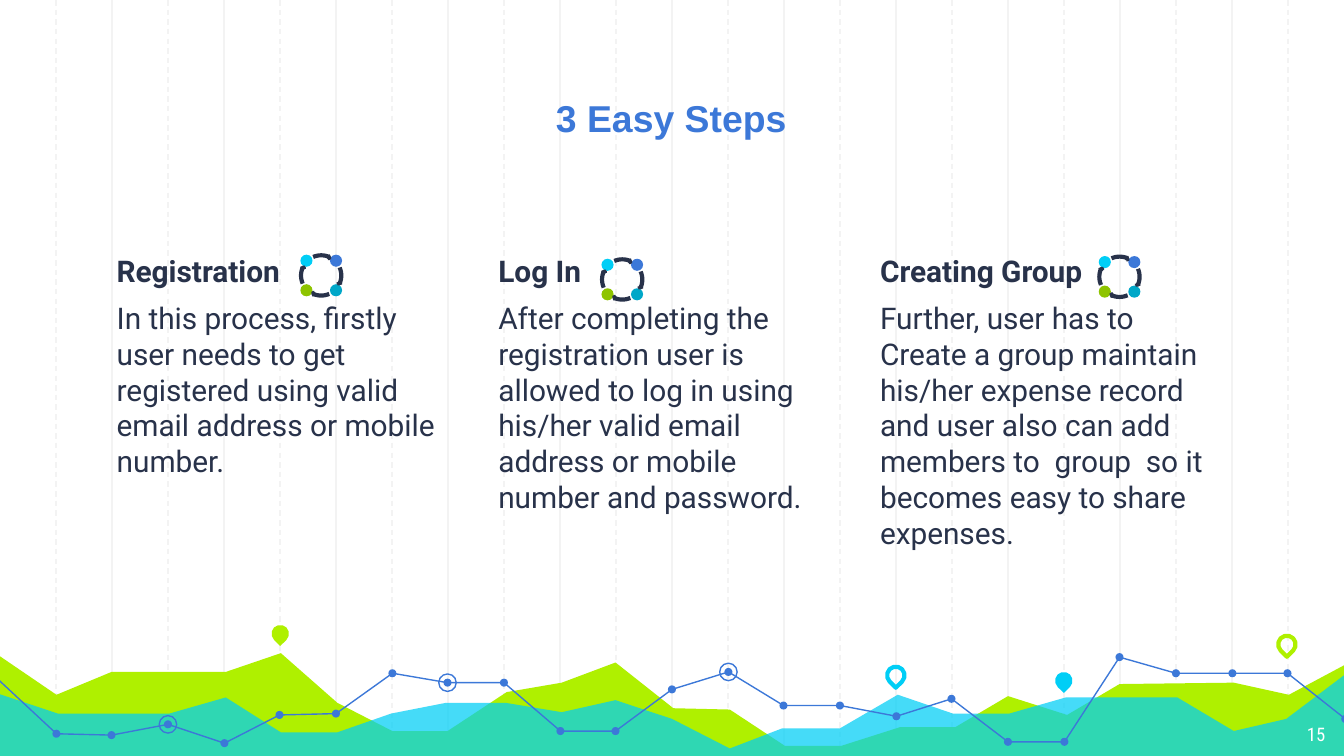
"""Build the "3 Easy Steps" slide over its grid and mountain chart backdrop."""
from dataclasses import dataclass
from math import asin, cos, pi, sin

from lxml import etree
from pptx import Presentation
from pptx import util as u
from pptx.dml.color import RGBColor
from pptx.enum import dml, shapes, text
from pptx.oxml import ns

PX = 9144
WIDE = 1000
HIGH = WIDE * 9 / 16
BASE = 565
KIND = shapes.MSO_SHAPE
ALIGN = text.PP_ALIGN


@dataclass(frozen=True)
class Theme:
    grid: str = "F3F3F3"
    lime: str = "AFF000"
    cyan: str = "00CEF6"
    blue: str = "3C78D8"
    teal: str = "00A7C8"
    leaf: str = "8EC400"
    ink: str = "28324A"
    white: str = "FFFFFF"
    head: str = "Arial"
    body: str = "Roboto"
    slim: str = "Roboto Condensed"
    big: int = 20
    mid: int = 16
    small: int = 10
    thin: float = 0.75
    thick: float = 2.25


T = Theme()

LIME = [(-2, 487), (42, 517), (83, 500), (168, 500), (209, 486), (251, 523),
        (292, 544), (333, 544), (377, 515), (418, 508), (458, 493), (501, 527),
        (543, 528), (584, 555), (626, 555), (670, 541), (711, 541), (750, 518),
        (794, 532), (833, 509), (918, 508), (959, 517), (1002, 494),
        (1001, 564), (-3, 564)]
CYAN = [(-2, 516), (43, 531), (126, 531), (168, 519), (209, 545), (251, 545),
        (291, 531), (332, 523), (376, 523), (418, 530), (458, 521), (500, 535),
        (543, 557), (582, 542), (625, 542), (668, 517), (709, 531), (751, 531),
        (793, 519), (876, 519), (918, 544), (957, 535), (1002, 501),
        (1002, BASE), (-3, BASE)]
TREND = [(-1, 506), (42, 546), (83, 547), (125, 539), (167, 553), (208, 532),
         (250, 531), (292, 501), (333, 508), (375, 508), (417, 544), (458, 544),
         (500, 513), (542, 500), (583, 525), (625, 525), (667, 533), (708, 520),
         (750, 552), (792, 552), (833, 489), (875, 501), (917, 501), (958, 501),
         (1001, 535)]
RINGS = (3, 8, 13)
PINS = [(202, 465, T.lime, True), (660, 496, T.cyan, False),
        (785, 500, T.cyan, True), (951, 473, T.lime, False)]
STEPS = [
    ("Registration",
     "In this process, firstly user needs to get registered using valid "
     "email address or mobile number.", (239, 205)),
    ("Log In",
     "After completing the registration user is allowed to log in using  "
     "his/her valid email address or mobile number and password.", (463, 208)),
    ("Creating Group",
     "Further, user has to Create a group maintain his/her expense record and "
     "user also can add members to  group  so it becomes easy to share "
     "expenses.", (833, 206)),
]


def px(*vals):
    return [u.Emu(round(v * PX)) for v in vals]


def put(obj, **vals):
    for key, val in vals.items():
        setattr(obj, key, val)


def rgb(code):
    return RGBColor.from_string(code)


def paint(shape, fill=None, line=None, width=T.thin):
    shape.shadow.inherit = False
    if fill:
        shape.fill.solid()
        shape.fill.fore_color.rgb = rgb(fill)
    else:
        shape.fill.background()
    if line:
        shape.line.color.rgb = rgb(line)
        shape.line.width = u.Pt(width)
    else:
        shape.line.fill.background()
    return shape


def fade(shape, part):
    tint = shape._element.spPr.find(".//" + ns.qn("a:srgbClr"))
    etree.SubElement(tint, ns.qn("a:alpha"), val=str(part * 1000))


def form(slide, kind, box, **look):
    return paint(slide.shapes.add_shape(kind, *px(*box)), **look)


def trace(slide, dots, close=False, **look):
    dots = [px(*dot) for dot in dots]
    pen = slide.shapes.build_freeform(*dots[0])
    pen.add_line_segments(dots[1:], close=close)
    return paint(pen.convert_to_shape(), **look)


def rule(slide, x, dash):
    line = slide.shapes.add_connector(shapes.MSO_CONNECTOR.STRAIGHT,
                                      *px(x, 0, x, BASE))
    line.line.color.rgb = rgb(T.grid)
    line.line.width = u.Pt(T.thin)
    if dash:
        line.line.dash_style = dml.MSO_LINE.DASH
    etree.SubElement(line._element.spPr, ns.qn("a:effectLst"))


def write(shape, box, rows, font, size, color, align=ALIGN.LEFT,
          anchor=text.MSO_ANCHOR.TOP, gap=0):
    put(shape, **dict(zip(("left", "top", "width", "height"), px(*box))))
    frame = shape.text_frame
    inset = px(10)[0]
    put(frame, word_wrap=True, auto_size=text.MSO_AUTO_SIZE.NONE,
        vertical_anchor=anchor, margin_left=inset, margin_right=inset,
        margin_top=inset, margin_bottom=inset)
    for i, (words, bold) in enumerate(rows):
        para = frame.add_paragraph() if i else frame.paragraphs[0]
        put(para, alignment=align, space_before=u.Pt(gap))
        run = para.add_run()
        run.text = words
        put(run.font, name=font, size=u.Pt(size), bold=bold)
        run.font.color.rgb = rgb(color)


def label(slide, *args, **look):
    write(slide.shapes.add_textbox(0, 0, 0, 0), *args, **look)


def pin(slide, x, y, color, solid):
    look = {"fill": color} if solid else {"line": color, "width": T.thick}
    form(slide, KIND.TEAR, (x, y, 13, 13), **look).rotation = 135


def disc(slide, spot, size, **look):
    x, y = spot
    form(slide, KIND.OVAL, (x - size / 2, y - size / 2, size, size), **look)


def wheel(slide, x, y):
    """Draw four dots joined by four curved arrows around a centre."""
    for dx, dy, color in [(11, -11, T.blue), (11, 11, T.teal),
                          (-11, -11, T.cyan), (-11, 11, T.leaf)]:
        disc(slide, (x + dx, y + dy), 9, fill=color)
    reach, steps = 15, 8
    half = asin(6 / reach)
    turns = [half * (2 * i / steps - 1) for i in range(steps + 1)]
    arc = [(reach * cos(a), reach * sin(a)) for a in turns]
    tip = [(13, 5), (13, 6), (15, 5)]
    for quad in range(4):
        c, s = cos(quad * pi / 2), sin(quad * pi / 2)
        for part in (arc, tip):
            trace(slide, [(x + a * c - b * s, y + a * s + b * c)
                          for a, b in part], line=T.ink, width=T.thick)


def scene(slide):
    for first, dash in ((2, False), (1, True)):
        for i in range(first, 24, 2):
            rule(slide, i * WIDE / 24, dash)
    trace(slide, LIME, close=True, fill=T.lime)
    fade(trace(slide, CYAN, close=True, fill=T.cyan), 73)
    for item in PINS:
        pin(slide, *item)
    trace(slide, TREND, line=T.blue)
    for spot in TREND[1:]:
        disc(slide, spot, 6, fill=T.blue)
    for i in RINGS:
        disc(slide, TREND[i], 13, line=T.blue)


def main():
    deck = Presentation()
    put(deck, **dict(zip(("slide_width", "slide_height"), px(WIDE, HIGH))))
    slide = deck.slides.add_slide(deck.slide_layouts[5])
    scene(slide)
    title = slide.shapes.title
    write(title, (117, 36, 765, 78), [("3 Easy Steps", True)], T.head, T.big,
          T.blue, align=ALIGN.CENTER, anchor=text.MSO_ANCHOR.BOTTOM)
    title._element.getparent().append(title._element)
    for i, (name, words, spot) in enumerate(STEPS):
        label(slide, (77 + 284 * i, 178, 270, 296),
              [(name, True), (words, False)], T.body, T.mid, T.ink, gap=6)
        wheel(slide, *spot)
    label(slide, (936, 528, 60, 35), [("15", False)], T.slim, T.small,
          T.white, align=ALIGN.RIGHT)
    deck.save("out.pptx")


if __name__ == "__main__":
    main()
